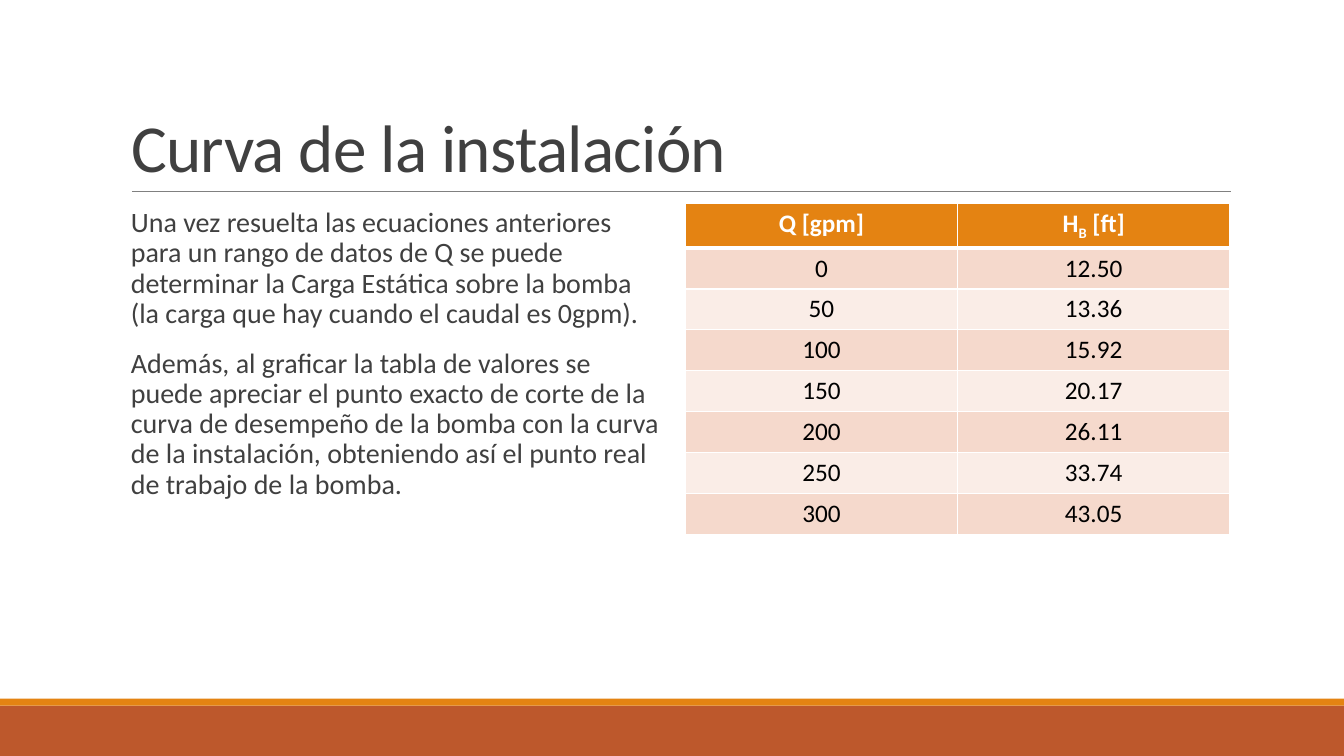
from dataclasses import dataclass

from lxml import etree
from pptx import Presentation
from pptx.dml.color import RGBColor
from pptx.enum.shapes import MSO_CONNECTOR, MSO_SHAPE
from pptx.enum.text import MSO_ANCHOR, MSO_AUTO_SIZE, PP_ALIGN
from pptx.oxml.ns import qn
from pptx.util import Pt

RECT = MSO_SHAPE.RECTANGLE
STRAIGHT = MSO_CONNECTOR.STRAIGHT
BOTTOM = MSO_ANCHOR.BOTTOM
LEFT, CENTER = PP_ALIGN.LEFT, PP_ALIGN.CENTER
NO_FIT = MSO_AUTO_SIZE.NONE

FONT = "Calibri"
WHITE, BLACK, DARK, GRAY = "FFFFFF", "000000", "404040", "808080"
ORANGE, RUST = "E48312", "BD582C"
BANDS = ("F5D9CC", "FAEDE7")


@dataclass
class Bar:
    top: float
    height: float
    color: str


@dataclass
class Reading:
    flow: str
    head: str


BARS = [Bar(504, 36, RUST), Bar(499, 5, ORANGE)]
PARAGRAPHS = [
    "Una vez resuelta las ecuaciones anteriores para un rango de datos de Q se puede "
    "determinar la Carga Estática sobre la bomba (la carga que hay cuando el caudal es 0gpm).",
    "Además, al graficar la tabla de valores se puede apreciar el punto exacto de corte de la "
    "curva de desempeño de la bomba con la curva de la instalación, obteniendo así el punto "
    "real de trabajo de la bomba.",
]
READINGS = [
    Reading("0", "12.50"),
    Reading("50", "13.36"),
    Reading("100", "15.92"),
    Reading("150", "20.17"),
    Reading("200", "26.11"),
    Reading("250", "33.74"),
    Reading("300", "43.05"),
]


def rgb(color: str) -> RGBColor:
    return RGBColor.from_string(color)


def add_run(p, text: str, *, size: float, color: str, bold: bool = False,
            baseline: int = 0, spacing: int = 0) -> None:
    r = p.add_run()
    r.text = text
    r.font.name = FONT
    r.font.size = Pt(size)
    r.font.bold = bold
    r.font.color.rgb = rgb(color)
    rPr = r.font._element
    if baseline:
        rPr.set("baseline", str(baseline))
    if spacing:
        rPr.set("spc", str(spacing))


def add_bar(s, bar: Bar, width: int) -> None:
    sp = s.shapes.add_shape(RECT, 0, Pt(bar.top), width, Pt(bar.height))
    sp.shadow.inherit = False
    sp.fill.solid()
    sp.fill.fore_color.rgb = rgb(bar.color)
    sp.line.fill.background()


def add_rule(s) -> None:
    line = s.shapes.add_connector(STRAIGHT, Pt(94.3), Pt(136.8), Pt(879.1), Pt(136.8))
    line.line.color.rgb = rgb(GRAY)
    line.line.width = Pt(0.5)
    etree.SubElement(line._element.spPr, qn("a:effectLst"))


def format_title(s) -> None:
    title = s.shapes.title
    title.left, title.top, title.width, title.height = Pt(86.4), Pt(22.3), Pt(792), Pt(114.5)
    tf = title.text_frame
    tf.word_wrap = True
    tf.auto_size = NO_FIT
    tf.vertical_anchor = BOTTOM
    p = tf.paragraphs[0]
    p.alignment = LEFT
    p.line_spacing = 0.85
    add_run(p, "Curva de la instalación", size=48, color=DARK, spacing=-50)


def add_body(s) -> None:
    tf = s.shapes.add_textbox(Pt(86.4), Pt(145.4), Pt(388.8), Pt(316.8)).text_frame
    tf.word_wrap = True
    tf.margin_left, tf.margin_right = Pt(7.2), 0
    for i, text in enumerate(PARAGRAPHS):
        p = tf.add_paragraph() if i else tf.paragraphs[0]
        p.line_spacing = 0.9
        p.space_before = Pt(12 if i else 0)
        p.space_after = Pt(2)
        add_run(p, text, size=20, color=DARK)


def set_borders(cell, **widths: float) -> None:
    tcPr = cell._tc.get_or_add_tcPr()
    for i, side in enumerate(("L", "R", "T", "B")):
        width = Pt(widths.get(side, 1))
        ln = etree.Element(qn(f"a:ln{side}"), w=str(int(width)))
        fill = etree.SubElement(ln, qn("a:solidFill"))
        etree.SubElement(fill, qn("a:srgbClr"), val=WHITE)
        tcPr.insert(i, ln)


def fill_cell(cell, color: str):
    cell.fill.solid()
    cell.fill.fore_color.rgb = rgb(color)
    p = cell.text_frame.paragraphs[0]
    p.alignment = CENTER
    return p


def add_readings_table(s) -> None:
    rows = len(READINGS) + 1
    row_height = Pt(29.2)
    table = s.shapes.add_table(rows, 2, Pt(489.6), Pt(145.4), Pt(388.8), row_height * rows).table
    for row in table.rows:
        row.height = row_height
    headers = [[("Q [gpm]", 0)], [("H", 0), ("B", -25000), (" [ft]", 0)]]
    for col, parts in enumerate(headers):
        cell = table.cell(0, col)
        p = fill_cell(cell, ORANGE)
        for text, baseline in parts:
            add_run(p, text, size=18, color=WHITE, bold=True, baseline=baseline)
        set_borders(cell, B=3)
    for i, reading in enumerate(READINGS):
        for col, text in enumerate((reading.flow, reading.head)):
            cell = table.cell(i + 1, col)
            add_run(fill_cell(cell, BANDS[i % 2]), text, size=18, color=BLACK)
            set_borders(cell, T=1 if i else 3)


def main() -> None:
    prs = Presentation()
    prs.slide_width, prs.slide_height = Pt(960), Pt(540)
    s = prs.slides.add_slide(prs.slide_layouts[5])
    for bar in BARS:
        add_bar(s, bar, prs.slide_width)
    add_rule(s)
    format_title(s)
    add_body(s)
    add_readings_table(s)
    prs.save("out.pptx")


if __name__ == "__main__":
    main()
